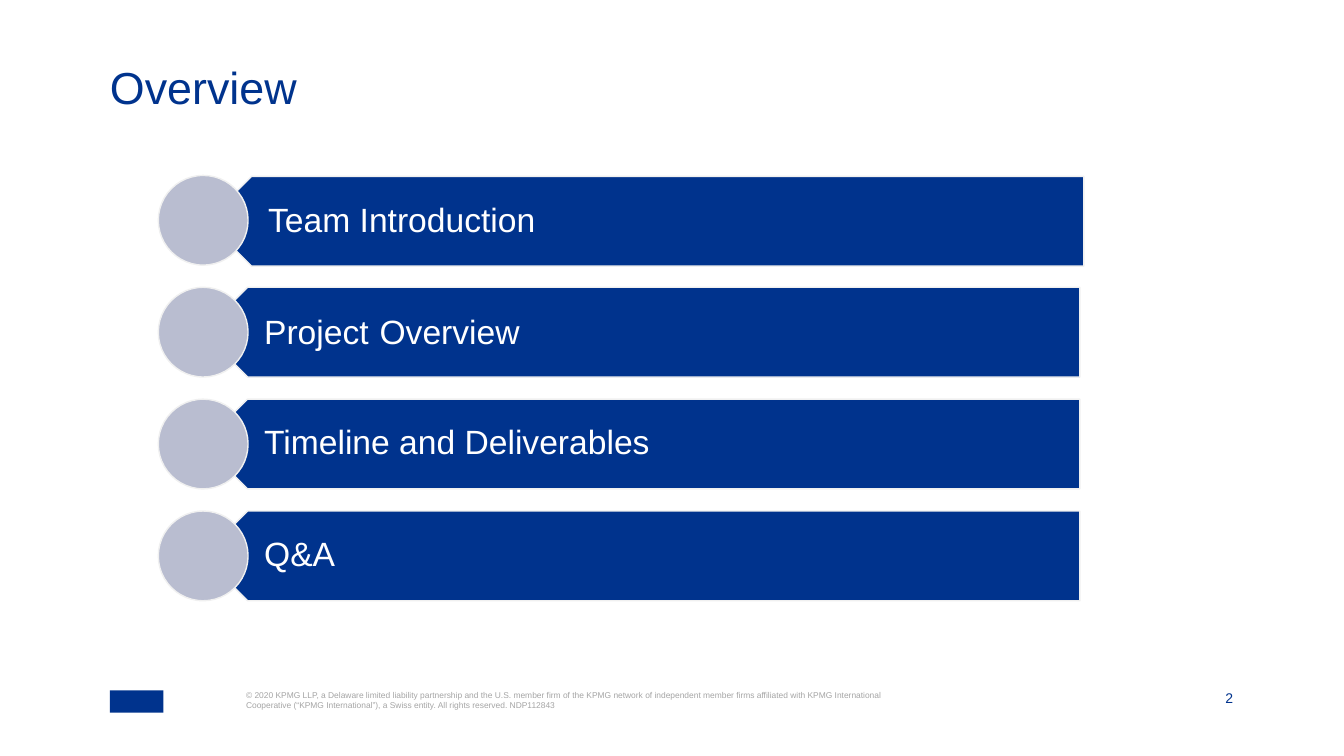
import pptx
import pptx.util
import pptx.dml.color
import pptx.enum.shapes
import pptx.enum.text

PX = 9144
FONT = "Arial"
HUES = {"navy": "00338D", "disc": "B9BDD0", "edge": "F0F0F0",
        "white": "FFFFFF", "note": "A5A5A5"}
KIND = pptx.enum.shapes.MSO_SHAPE
ALIGN = pptx.enum.text.PP_ALIGN
ANCHOR = pptx.enum.text.MSO_ANCHOR
TOP, STEP, SIDE = 175, 111, 89
TOPICS = [
    ([("Team Introduction", 24)], 205, 174),
    ([("Project", 24), (" ", 28), ("Overview", 24)], 201, 285),
    ([("Timeline and Deliverables", 24)], 201, 396),
    ([("Q&A", 24)], 201, 507),
]
LEGAL = ("© 2020 KPMG LLP, a Delaware limited liability partnership and the "
         "U.S. member firm of the KPMG network of independent member firms "
         "affiliated with KPMG International Cooperative (“KPMG "
         "International”), a Swiss entity. All rights reserved. NDP112843")


def color(name):
    """Return the named colour."""
    return pptx.dml.color.RGBColor.from_string(HUES[name])


def scale(*sizes):
    """Turn px lengths into EMU."""
    return [pptx.util.Emu(size * PX) for size in sizes]


def write(slide, runs, box, hue="navy", align=ALIGN.LEFT, anchor=ANCHOR.TOP,
          inset=(0, 0, 0, 0), space=1.0):
    """Add a text box with one paragraph of (text, size) runs."""
    frame = slide.shapes.add_textbox(*scale(*box)).text_frame
    frame.word_wrap = True
    frame.vertical_anchor = anchor
    (frame.margin_left, frame.margin_top,
     frame.margin_right, frame.margin_bottom) = scale(*inset)
    para = frame.paragraphs[0]
    para.alignment = align
    para.line_spacing = space
    for text, size in runs:
        run = para.add_run()
        run.text = text
        run.font.name = FONT
        run.font.size = pptx.util.Pt(size)
        run.font.color.rgb = color(hue)


def draw(slide, kind, box, fill, edge=None):
    """Add a filled shape, outlined if an edge colour is given."""
    shape = slide.shapes.add_shape(kind, *scale(*box))
    shape.shadow.inherit = False
    shape.fill.solid()
    shape.fill.fore_color.rgb = color(fill)
    if edge:
        shape.line.color.rgb = color(edge)
        shape.line.width = pptx.util.Pt(1)
    else:
        shape.line.fill.background()
    return shape


def topic(slide, runs, left, top, disc):
    """Add an agenda bar with its label and disc."""
    bar = draw(slide, KIND.PENTAGON, (left, top, 870, SIDE), "navy", "edge")
    bar.rotation = 180
    write(slide, runs, (left + 22, top, 847, SIDE), hue="white",
          anchor=ANCHOR.MIDDLE, inset=(39, 10, 19, 10), space=0.9)
    draw(slide, KIND.OVAL, (157, disc, SIDE, SIDE), "disc", "edge")


def main():
    """Build the overview slide."""
    deck = pptx.Presentation()
    deck.slide_width, deck.slide_height = scale(1333, 750)
    slide = deck.slides.add_slide(deck.slide_layouts[6])
    write(slide, [("2", 10)], (1174, 685, 49, 16), align=ALIGN.RIGHT,
          anchor=ANCHOR.BOTTOM)
    write(slide, [(LEGAL, 6)], (244, 685, 639, 41), hue="note")
    draw(slide, KIND.RECTANGLE, (109, 685, 53, 22), "navy")
    write(slide, [("Overview", 32)], (109, 65, 1115, 58), space=0.9)
    for row, (runs, left, disc) in enumerate(TOPICS):
        topic(slide, runs, left, TOP + row * STEP - (row > 0), disc)
    deck.save("out.pptx")


if __name__ == "__main__":
    main()
